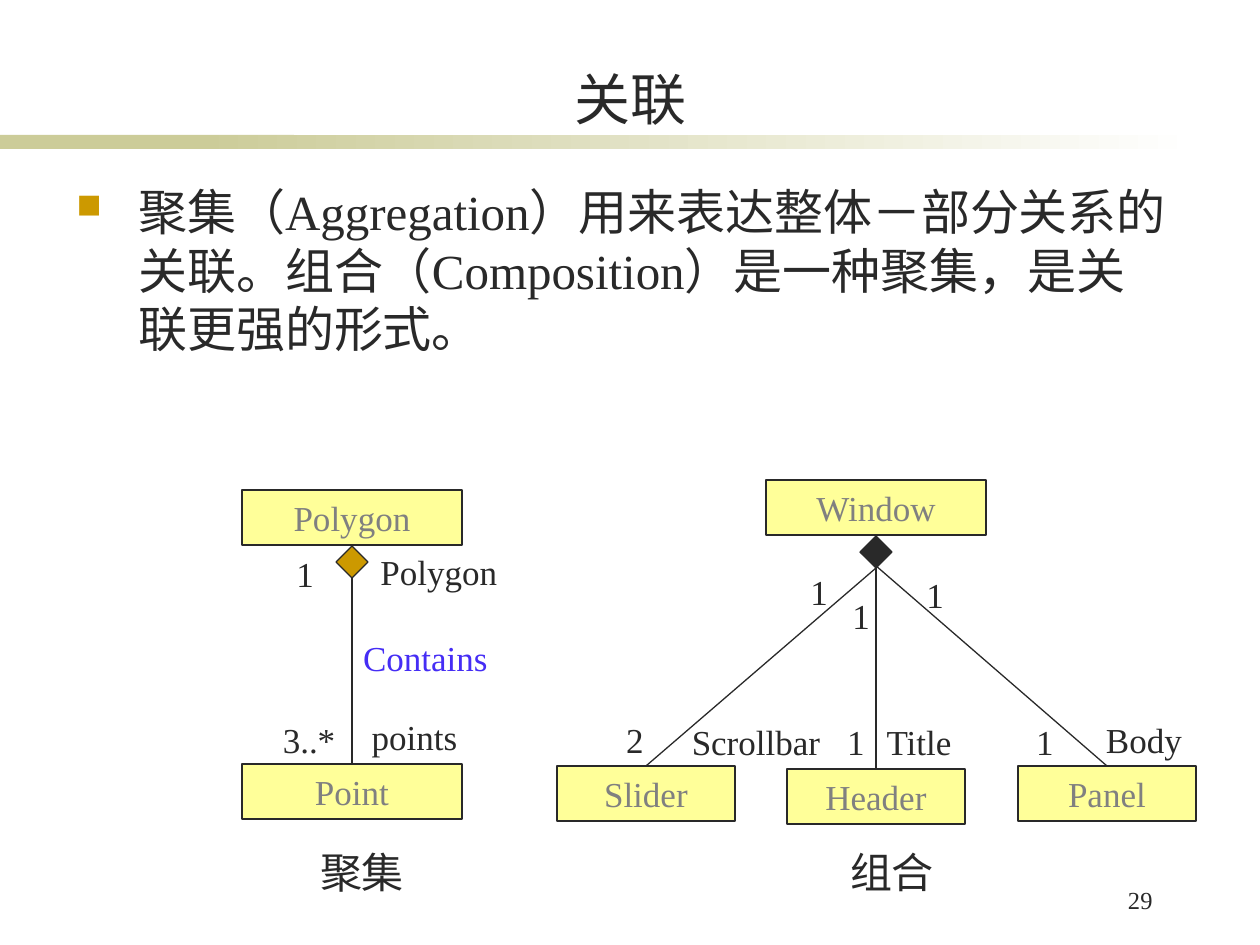
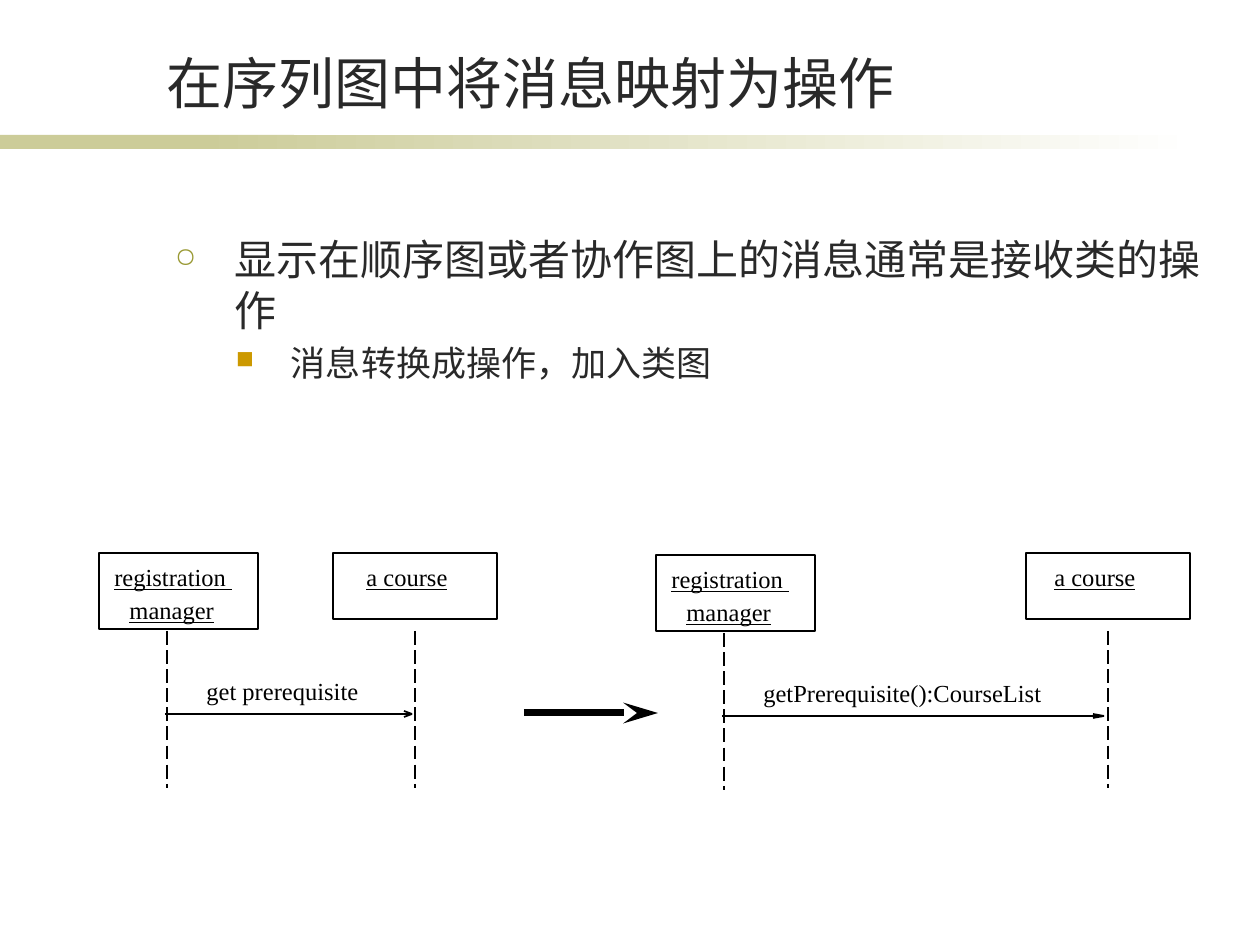
from dataclasses import dataclass

from lxml.etree import SubElement
from pptx import Presentation
from pptx.dml.color import RGBColor
from pptx.enum.dml import MSO_LINE
from pptx.enum.shapes import MSO_CONNECTOR, MSO_SHAPE
from pptx.enum.text import MSO_ANCHOR, MSO_AUTO_SIZE, PP_ALIGN
from pptx.oxml.ns import qn
from pptx.util import Emu, Pt

PX_PER_INCH = 126
TOP, LEFT, BOTTOM = 0, 1, 2


@dataclass(frozen=True)
class Theme:
    ink: str = "292929"
    black: str = "000000"
    white: str = "FFFFFF"
    band: str = "CCCC99"
    class_fill: str = "FFFF99"
    class_text: str = "808080"
    gold: str = "CC9900"
    olive: str = "999933"
    association: str = "452DF5"
    serif: str = "Times New Roman"
    sans: str = "Arial"
    caption_face: str = "DejaVu Sans"
    title: int = 32
    lead: int = 28
    heading: int = 24
    label: int = 20
    small: int = 14


THEME = Theme()


def px(length):
    return Emu(round(length * 914400 / PX_PER_INCH))


def rgb(code):
    return RGBColor.from_string(code)


def apply(target, values):
    for name, value in values.items():
        setattr(target, name, value)


def write(paragraph, text, size, color=THEME.ink, face=THEME.serif,
          align=PP_ALIGN.LEFT, underline=None):
    paragraph.alignment = align
    run = paragraph.add_run()
    run.text = text
    apply(run.font, {"size": Pt(size), "name": face, "underline": underline})
    run.font.color.rgb = rgb(color)


def add_text(shapes, box, text, size, wrap=True, grow=True,
             anchor=MSO_ANCHOR.TOP, inset=None, **style):
    frame = shapes.add_textbox(*map(px, box)).text_frame
    sizing = MSO_AUTO_SIZE.SHAPE_TO_FIT_TEXT if grow else MSO_AUTO_SIZE.NONE
    apply(frame, {"word_wrap": wrap, "auto_size": sizing,
                  "vertical_anchor": anchor})
    if inset is not None:
        set_insets(frame, inset)
    write(frame.paragraphs[0], text, size, **style)
    return frame


def set_insets(frame, inset):
    apply(frame, {f"margin_{side}": px(inset)
                  for side in ("left", "top", "right", "bottom")})


def add_block(shapes, kind, box, fill=None, line=None, width=0.75):
    block = shapes.add_shape(kind, *map(px, box))
    block.shadow.inherit = False
    if fill:
        block.fill.solid()
        block.fill.fore_color.rgb = rgb(fill)
    else:
        block.fill.background()
    if line:
        block.line.color.rgb = rgb(line)
        block.line.width = Pt(width)
    else:
        block.line.fill.background()
    return block


def add_line(shapes, start, end, color=THEME.black, width=1, dash=None):
    line = shapes.add_connector(MSO_CONNECTOR.STRAIGHT,
                                *map(px, (*start, *end)))
    line.line.color.rgb = rgb(color)
    apply(line.line, {"width": Pt(width), "dash_style": dash})
    SubElement(line._element.spPr, qn("a:effectLst"))
    return line


def add_bullet(paragraph, symbol, color, percent, margin, hanging, level=0):
    paragraph.level = level
    properties = paragraph._p.get_or_add_pPr()
    properties.set("marL", str(px(margin)))
    properties.set("indent", str(-px(hanging)))
    tint = SubElement(properties, qn("a:buClr"))
    SubElement(tint, qn("a:srgbClr"), val=color)
    SubElement(properties, qn("a:buSzPct"), val=str(percent * 1000))
    SubElement(properties, qn("a:buChar"), char=symbol)


def add_points(shapes, box, points, face, inset=None):
    frame = shapes.add_textbox(*map(px, box)).text_frame
    frame.word_wrap = True
    if inset is not None:
        set_insets(frame, inset)
    for index, (text, size, bullet) in enumerate(points):
        paragraph = frame.add_paragraph() if index else frame.paragraphs[0]
        add_bullet(paragraph, *bullet)
        if index:
            paragraph.space_before = Pt(size * 0.2)
        write(paragraph, text, size, face=face)


def add_base_slide(deck, title, box, face, inset=None):
    shapes = deck.slides.add_slide(deck.slide_layouts[6]).shapes
    add_block(shapes, MSO_SHAPE.RECTANGLE, (0, 135, 294, 14), THEME.band)
    fade = add_block(shapes, MSO_SHAPE.RECTANGLE, (199, 135, 998, 14)).fill
    fade.gradient()
    fade.gradient_angle = 0
    for stop, color in zip(fade.gradient_stops, (THEME.band, THEME.white)):
        stop.color.rgb = rgb(color)
    add_text(shapes, box, title, THEME.title, grow=False, inset=inset,
             anchor=MSO_ANCHOR.BOTTOM, face=face, align=PP_ALIGN.CENTER)
    return shapes


def add_class(shapes, name, left, top, width):
    block = add_block(shapes, MSO_SHAPE.RECTANGLE, (left, top, width, 55),
                      THEME.class_fill, THEME.ink)
    frame = block.text_frame
    apply(frame, {"vertical_anchor": MSO_ANCHOR.TOP, "word_wrap": True})
    write(frame.paragraphs[0], name, THEME.label, THEME.class_text,
          align=PP_ALIGN.CENTER)
    return block


def add_whole(shapes, name, left, top, diamond_fill):
    add_class(shapes, name, left, top, 220)
    return add_block(shapes, MSO_SHAPE.FLOWCHART_DECISION,
                     (left + 94, top + 56, 32, 32), diamond_fill, THEME.ink)


def add_part(shapes, name, left, top, width, diamond, site=BOTTOM):
    part = add_class(shapes, name, left, top, width)
    link = add_line(shapes, (0, 0), (1, 1), THEME.ink, 0.75)
    link.begin_connect(diamond, site)
    link.end_connect(part, TOP)


def add_association_slide(deck):
    shapes = add_base_slide(deck, "关联", (64, 55, 1134, 83), THEME.serif)
    lead = ("聚集（Aggregation）用来表达整体－部分关系的关联。"
            "组合（Composition）是一种聚集，是关联更强的形式。")
    add_points(shapes, (64, 175, 1121, 635),
               [(lead, THEME.lead, ("■", THEME.gold, 70, 62, 62))],
               THEME.serif)
    add_text(shapes, (1037, 879, 128, 49), "29", THEME.small, grow=False,
             align=PP_ALIGN.RIGHT)

    polygon = add_whole(shapes, "Polygon", 242, 490, THEME.gold)
    add_part(shapes, "Point", 242, 764, 220, polygon)
    window = add_whole(shapes, "Window", 766, 480, THEME.ink)
    for name, left, top, site in (("Slider", 557, 766, BOTTOM),
                                  ("Header", 787, 769, BOTTOM),
                                  ("Panel", 1018, 766, LEFT)):
        add_part(shapes, name, left, top, 178, window, site)

    start_labels = (("1", 284, 546, 42), ("Polygon", 368, 544, 158),
                    ("1", 798, 564, 42), ("1", 840, 588, 42),
                    ("1", 914, 567, 42))
    centred_labels = (("3..*", 262, 712, 94), ("points", 346, 709, 137),
                      ("2", 588, 712, 94), ("Scrollbar", 672, 714, 168),
                      ("1", 809, 714, 94), ("Title", 872, 714, 94),
                      ("1", 998, 714, 94), ("Body", 1081, 712, 126))
    for align, labels in ((PP_ALIGN.LEFT, start_labels),
                          (PP_ALIGN.CENTER, centred_labels)):
        for text, left, top, width in labels:
            add_text(shapes, (left, top, width, 54), text, THEME.label,
                     align=align)
    add_text(shapes, (336, 630, 179, 54), "Contains", THEME.label,
             color=THEME.association, align=PP_ALIGN.CENTER)
    for text, left, width in (("聚集", 231, 262), ("组合", 766, 252)):
        add_text(shapes, (left, 840, width, 63), text, THEME.heading,
                 face=THEME.caption_face, align=PP_ALIGN.CENTER)


def add_note(shapes, text, left, top, width, underline=None):
    add_text(shapes, (left, top, width, 42), text, THEME.small, wrap=False,
             color=THEME.black, underline=underline)


def add_lifeline(shapes, x, top):
    add_line(shapes, (x, top), (x, top + 157), dash=MSO_LINE.LONG_DASH)


def add_sequence(slide_shapes, left, top, course_left, course_text_left,
                 message, message_width, tip, barb):
    shapes = slide_shapes.add_group_shape().shapes
    add_block(shapes, MSO_SHAPE.RECTANGLE, (left, top, 159, 76),
              line=THEME.black, width=1)
    add_note(shapes, "registration ", left + 3, top + 3, 152, True)
    add_note(shapes, "manager", left + 18, top + 36, 122, True)
    add_lifeline(shapes, left + 68, top + 78)

    message_y = top + 161
    add_line(shapes, (left + 66, message_y), (tip, message_y))
    barb_length, barb_rise = barb
    for rise in (barb_rise, -barb_rise):
        add_line(shapes, (tip, message_y),
                 (tip - barb_length, message_y + rise))
    add_note(shapes, message, left + 95, top + 117, message_width)

    add_block(shapes, MSO_SHAPE.RECTANGLE, (course_left, 553, 164, 66),
              line=THEME.black, width=1)
    add_note(shapes, "a course", course_text_left, 556, 118, True)
    add_lifeline(shapes, course_left + 82, 631)


def add_sequence_slide(deck):
    shapes = add_base_slide(deck, "在序列图中将消息映射为操作",
                            (144, 37, 774, 79), THEME.sans, inset=0)
    add_points(shapes, (113, 234, 1120, 178), [
        ("显示在顺序图或者协作图上的消息通常是接收类的操作", THEME.heading,
         ("○", THEME.olive, 65, 122, 60, 1)),
        ("消息转换成操作，加入类图", THEME.label,
         ("■", THEME.gold, 70, 178, 55, 2)),
    ], THEME.sans, inset=0)
    add_sequence(shapes, 99, 553, 333, 354, "get prerequisite", 194,
                 412, (8, 3))
    add_sequence(shapes, 656, 555, 1026, 1042,
                 "getPrerequisite():CourseList", 329, 1104, (11, 2))
    conversion = add_line(shapes, (524, 713), (658, 713), width=4)
    SubElement(conversion.line._get_or_add_ln(), qn("a:tailEnd"),
               type="stealth", w="med", len="lg")


def main():
    deck = Presentation()
    apply(deck, {"slide_width": px(1260), "slide_height": px(945)})
    add_association_slide(deck)
    add_sequence_slide(deck)
    deck.save("out.pptx")


if __name__ == "__main__":
    main()
